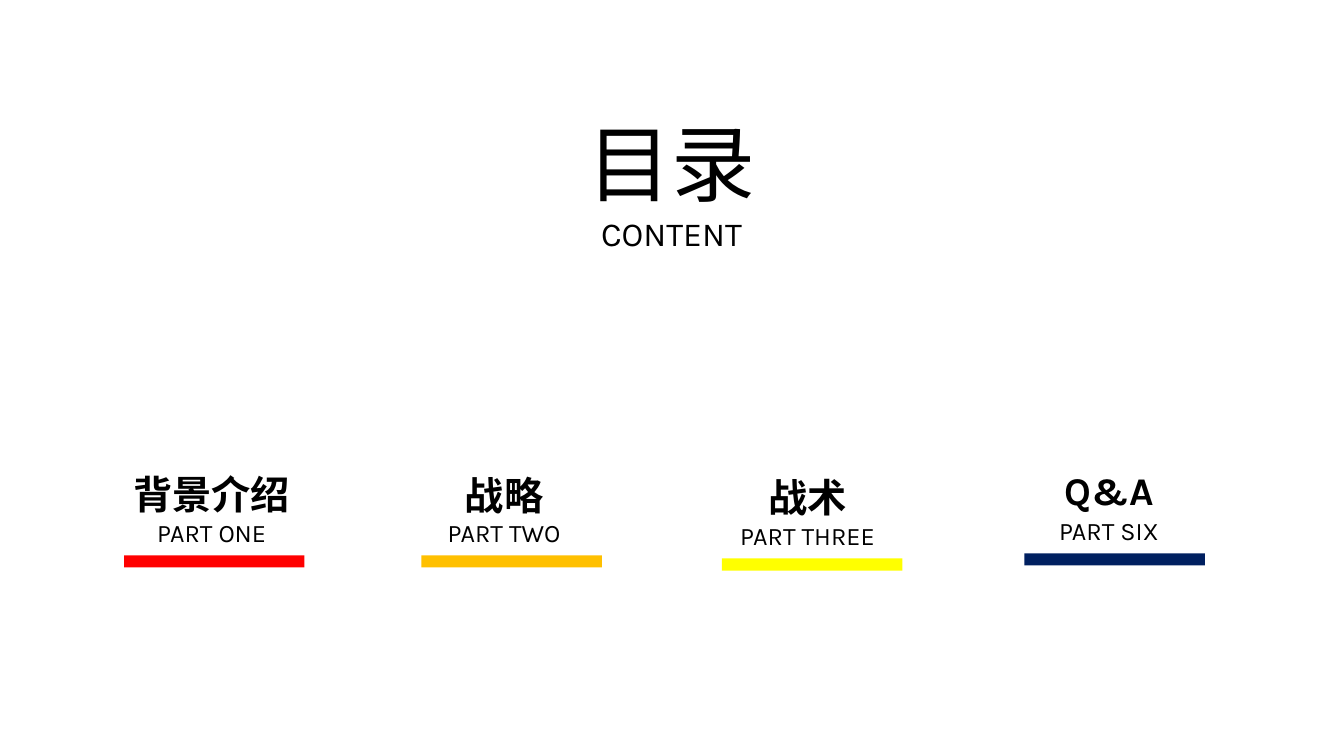
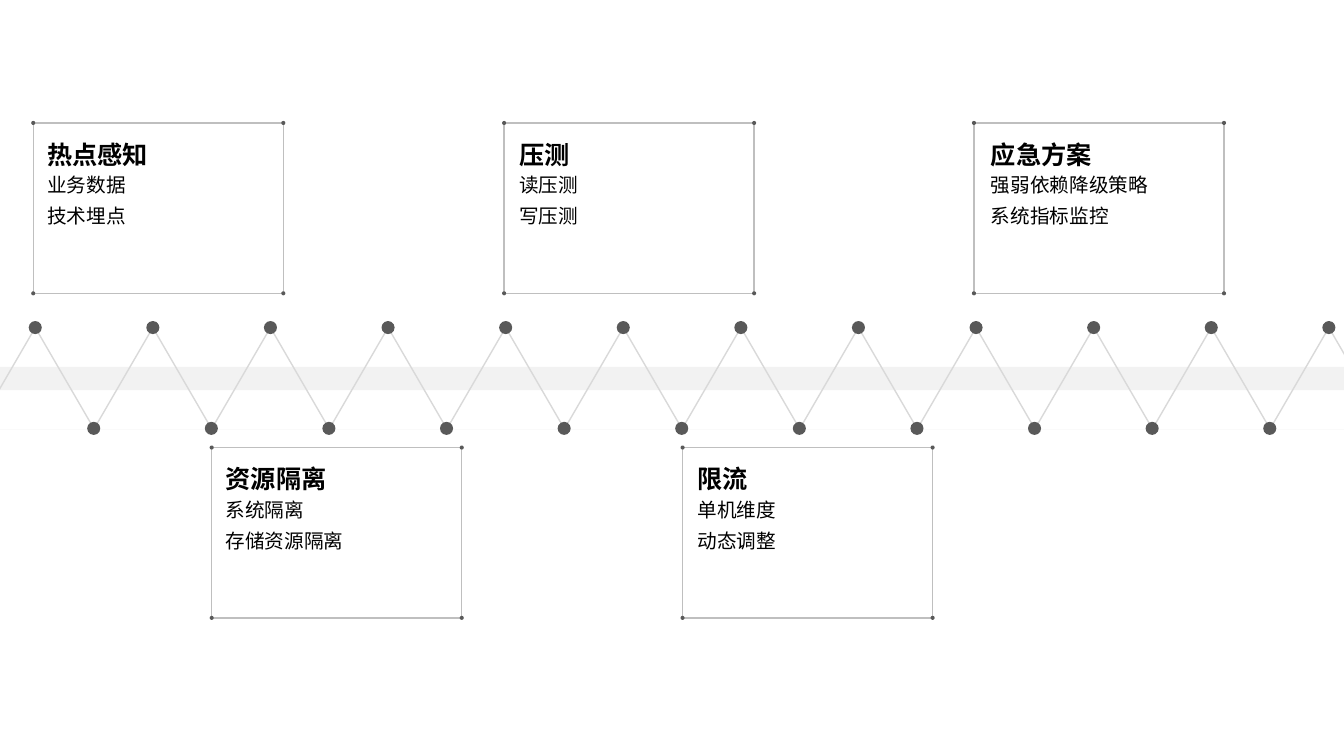
from dataclasses import dataclass

from lxml import etree
from pptx import Presentation
from pptx.dml.color import RGBColor
from pptx.enum.shapes import MSO_CONNECTOR, MSO_SHAPE
from pptx.enum.text import MSO_AUTO_SIZE, PP_ALIGN
from pptx.oxml.ns import qn
from pptx.util import Pt

EMU_PER_PX = 9144
SLIDE_WIDTH, SLIDE_HEIGHT = 1333, 750
BLANK_LAYOUT = 6

RECT = MSO_SHAPE.RECTANGLE
TRIANGLE = MSO_SHAPE.ISOSCELES_TRIANGLE
OVAL = MSO_SHAPE.OVAL
STRAIGHT = MSO_CONNECTOR.STRAIGHT
GROW = MSO_AUTO_SIZE.SHAPE_TO_FIT_TEXT
LEFT, CENTER = PP_ALIGN.LEFT, PP_ALIGN.CENTER

LATIN_FONT = "Karla"
CJK_FONT = "Noto Sans CJK SC"
COLORS = {
    "text": "000000",
    "white": "FFFFFF",
    "red": "FF0000",
    "orange": "FFC000",
    "yellow": "FFFF00",
    "navy": "002060",
    "band": "F2F2F2",
    "zigzag": "D9D9D9",
    "frame": "BFBFBF",
    "dot": "595959",
}


@dataclass(frozen=True)
class TextStyle:
    size: int
    font: str = LATIN_FONT
    bold: bool = False
    align: PP_ALIGN = LEFT
    spacing: float = 1.0
    wrap: bool = True


@dataclass(frozen=True)
class Section:
    heading: str
    number: str
    color: str
    center: int
    heading_top: int
    number_top: int
    number_width: int
    bar_left: int


@dataclass(frozen=True)
class Card:
    heading: str
    points: tuple[str, ...]
    left: int
    top: int
    text_left: int


CONTENTS_TITLE = TextStyle(60, align=CENTER, wrap=False)
SECTION_HEADING = TextStyle(28, bold=True, align=CENTER, spacing=1.3)
SECTION_NUMBER = TextStyle(18, align=CENTER, spacing=1.3)
CARD_HEADING = TextStyle(18, bold=True, wrap=False)
CARD_POINTS = TextStyle(14, font=CJK_FONT, spacing=1.3)

SECTIONS = (
    Section("背景介绍", "PART ONE", "red", 210, 448, 499, 160, 123),
    Section("战略", "PART TWO", "orange", 500, 449, 499, 174, 418),
    Section("战术", "PART THREE", "yellow", 801, 451, 502, 187, 716),
    Section("Q&A", "PART SIX", "navy", 1100, 444, 497, 134, 1016),
)
HEADING_WIDTH = 192

UPPER_ROW, LOWER_ROW = 122, 444
CARD_WIDTH, CARD_HEIGHT = 248, 169
CARDS = (
    Card("热点感知", ("业务数据", "技术埋点"), 33, UPPER_ROW, 37),
    Card("压测", ("读压测", "写压测"), 500, UPPER_ROW, 505),
    Card("应急方案", ("强弱依赖降级策略", "系统指标监控"), 966, UPPER_ROW, 973),
    Card("资源隔离", ("系统隔离", "存储资源隔离"), 210, LOWER_ROW, 214),
    Card("限流", ("单机维度", "动态调整"), 677, LOWER_ROW, 682),
)

PEAK_COUNT = 12
PEAK_STEP = 116.64
FIRST_PEAK, FIRST_VALLEY = 35, 93
PEAK_Y, VALLEY_Y = 325, 425


def px(length: float) -> int:
    return round(length * EMU_PER_PX)


def rgb(color: str) -> RGBColor:
    return RGBColor.from_string(COLORS[color])


def add_figure(shapes, kind, left: float, top: float, width: int, height: int,
               fill: str | None = None, line: str | None = None) -> None:
    figure = shapes.add_shape(kind, px(left), px(top), px(width), px(height))
    figure.shadow.inherit = False
    if fill:
        figure.fill.solid()
        figure.fill.fore_color.rgb = rgb(fill)
    else:
        figure.fill.background()
    if line:
        figure.line.color.rgb = rgb(line)
        figure.line.width = Pt(1)
    else:
        figure.line.fill.background()


def add_dot(shapes, x: float, y: float, size: int) -> None:
    add_figure(shapes, OVAL, x - size / 2, y - size / 2, size, size, fill="dot")


def add_text(shapes, lines: tuple[str, ...], left: float, top: int, width: int,
             height: int, style: TextStyle):
    box = shapes.add_textbox(px(left), px(top), px(width), px(height))
    frame = box.text_frame
    frame.word_wrap = style.wrap
    frame.auto_size = GROW
    frame.text = "\n".join(lines)
    for paragraph in frame.paragraphs:
        paragraph.alignment = style.align
        paragraph.line_spacing = style.spacing
        for run in paragraph.runs:
            run.font.name = style.font
            run.font.size = Pt(style.size)
            run.font.bold = style.bold
            run.font.color.rgb = rgb("text")
            east_asian = etree.SubElement(run._r.get_or_add_rPr(), qn("a:ea"))
            east_asian.set("typeface", CJK_FONT)
    return frame


def add_section(shapes, section: Section) -> None:
    add_text(shapes, (section.number,), section.center - section.number_width / 2,
             section.number_top, section.number_width, 49, SECTION_NUMBER)
    add_text(shapes, (section.heading,), section.center - HEADING_WIDTH / 2,
             section.heading_top, HEADING_WIDTH, 71, SECTION_HEADING)
    add_figure(shapes, RECT, section.bar_left, section.number_top + 52, 179, 12,
               fill=section.color)


def add_zigzag(shapes) -> None:
    wave = shapes.add_group_shape().shapes
    add_figure(wave, RECT, 0, 364, SLIDE_WIDTH, 23, fill="band")
    peaks = [FIRST_PEAK + PEAK_STEP * i for i in range(PEAK_COUNT)]
    valleys = [FIRST_VALLEY + PEAK_STEP * i for i in range(PEAK_COUNT - 1)]
    for peak in peaks:
        add_figure(wave, TRIANGLE, peak - 58, PEAK_Y, 116, VALLEY_Y - PEAK_Y,
                   line="zigzag")
    base = wave.add_connector(STRAIGHT, px(-23), px(424), px(1374), px(424))
    base.line.color.rgb = rgb("white")
    base.line.width = Pt(3)
    etree.SubElement(base._element.spPr, qn("a:effectLst"))
    for x in peaks:
        add_dot(shapes, x, PEAK_Y, 13)
    for x in valleys:
        add_dot(shapes, x, VALLEY_Y, 13)


def add_card(shapes, card: Card) -> None:
    frame = shapes.add_group_shape().shapes
    add_figure(frame, RECT, card.left, card.top, CARD_WIDTH, CARD_HEIGHT, line="frame")
    for x in (card.left, card.left + CARD_WIDTH):
        for y in (card.top, card.top + CARD_HEIGHT):
            add_dot(frame, x, y, 4)
    heading_width = 21 + 25 * len(card.heading)
    add_text(shapes, (card.heading,), card.text_left, card.top + 11,
             heading_width, 40, CARD_HEADING)
    add_text(shapes, card.points, card.text_left, card.top + 38, 239, 71, CARD_POINTS)


def build_contents(slide) -> None:
    title = add_text(slide.shapes, ("目录", "CONTENT"), 572, 106, 188, 151,
                     CONTENTS_TITLE)
    title.paragraphs[1].runs[0].font.size = Pt(24)
    for section in SECTIONS:
        add_section(slide.shapes, section)


def build_timeline(slide) -> None:
    add_zigzag(slide.shapes)
    for card in CARDS:
        add_card(slide.shapes, card)


def main() -> None:
    deck = Presentation()
    deck.slide_width, deck.slide_height = px(SLIDE_WIDTH), px(SLIDE_HEIGHT)
    for build in (build_contents, build_timeline):
        build(deck.slides.add_slide(deck.slide_layouts[BLANK_LAYOUT]))
    deck.save("out.pptx")


if __name__ == "__main__":
    main()
